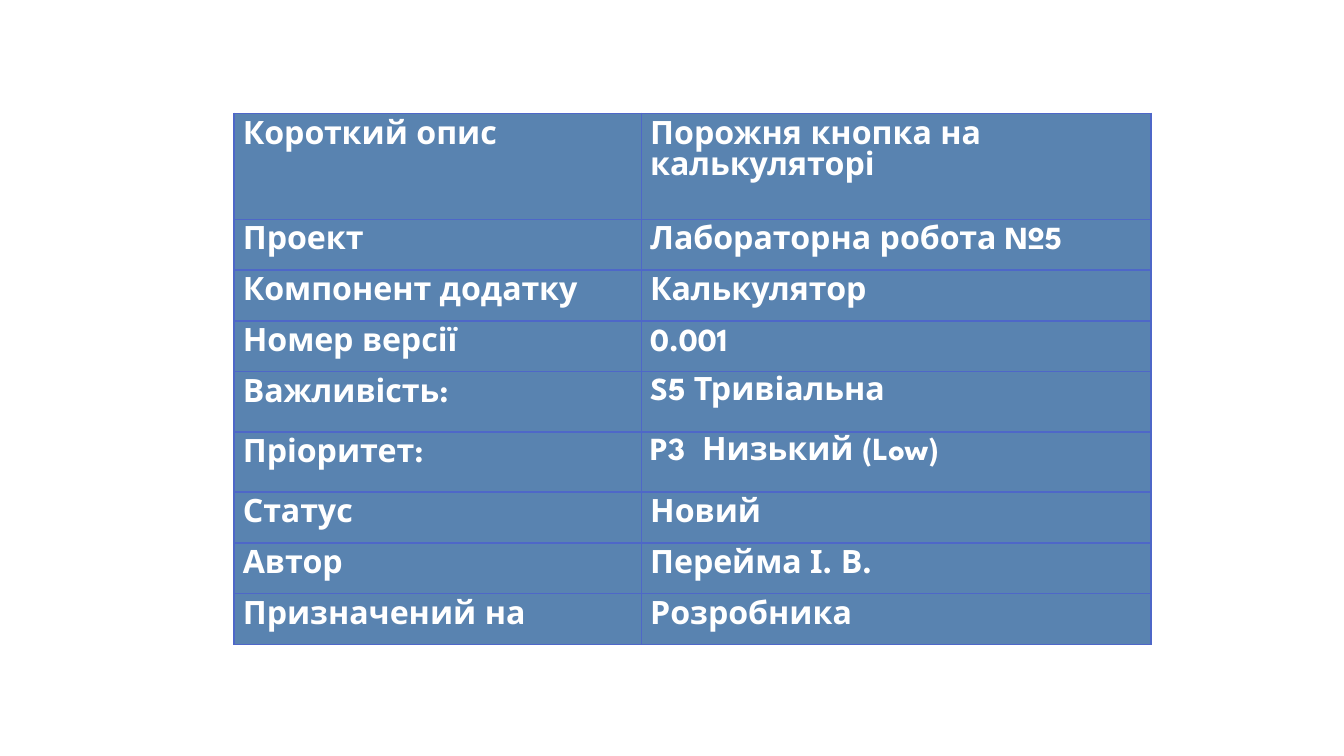
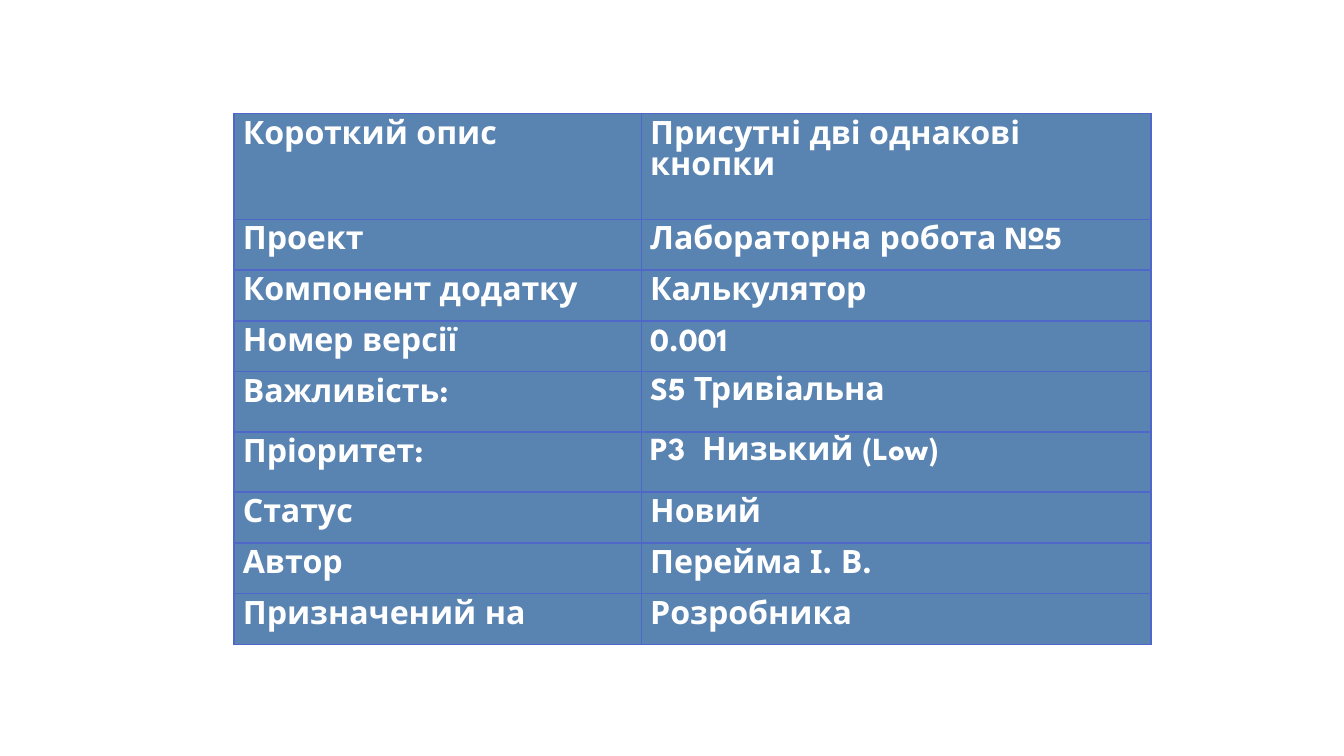
from pptx import Presentation
from pptx.dml.color import RGBColor
from pptx.oxml import parse_xml
from pptx.oxml.ns import nsdecls
from pptx.util import Pt

FILL = RGBColor(0x59, 0x83, 0xB0)
EDGE = RGBColor(0x4E, 0x67, 0xC8)
WHITE = RGBColor(0xFF, 0xFF, 0xFF)

# Row height and value line spacing follow each field's kind
TALL, PLAIN, RANK = (62.5, 1.07), (30, 1.07), (35.6, None)


class Deck:
    font = "League Spartan"
    size = 19
    cols = (240.5, 301)
    left, top = 138.2, 67

    def __init__(self):
        self.prs = Presentation()
        self.prs.slide_width = Pt(793.5)
        self.prs.slide_height = Pt(446.5)
        self.slide = None

    def add(self):
        self.slide = self.prs.slides.add_slide(self.prs.slide_layouts[6])

    def table(self, rows):
        high = sum(kind[0] for _, _, kind in rows)
        frame = self.slide.shapes.add_table(
            len(rows), len(self.cols), Pt(self.left), Pt(self.top),
            Pt(sum(self.cols)), Pt(high))
        grid = frame.table
        for col, width in zip(grid.columns, self.cols):
            col.width = Pt(width)
        for i, (name, value, (height, space)) in enumerate(rows):
            grid.rows[i].height = Pt(height)
            self.cell(grid.cell(i, 0), name, 1.07)
            self.cell(grid.cell(i, 1), value, space)

    def cell(self, cell, text, space):
        cell.margin_left = cell.margin_right = Pt(5.2)
        cell.margin_top = cell.margin_bottom = Pt(3.6)
        self.border(cell)
        cell.fill.solid()
        cell.fill.fore_color.rgb = FILL
        para = cell.text_frame.paragraphs[0]
        para.text = text
        if space:
            para.line_spacing = space
        for run in para.runs:
            run.font.name = self.font
            run.font.size = Pt(self.size)
            run.font.bold = True
            run.font.color.rgb = WHITE

    def border(self, cell):
        props = cell._tc.get_or_add_tcPr()
        for side in "LRTB":
            props.append(parse_xml(
                f'<a:ln{side} {nsdecls("a")} w="{Pt(0.96)}"><a:solidFill>'
                f'<a:srgbClr val="{EDGE}"/></a:solidFill></a:ln{side}>'))


def report(brief):
    return [
        ("Короткий опис", brief, TALL),
        ("Проект", "Лабораторна робота №5", PLAIN),
        ("Компонент додатку", "Калькулятор", PLAIN),
        ("Номер версії", "0.001", PLAIN),
        ("Важливість:", "S5 Тривіальна", RANK),
        ("Пріоритет:", "P3  Низький (Low)", RANK),
        ("Статус", "Новий", PLAIN),
        ("Автор", "Перейма І. В.", PLAIN),
        ("Призначений на", "Розробника", PLAIN),
    ]


def main():
    deck = Deck()
    # One bug report per slide
    for brief in ("Порожня кнопка на калькуляторі",
                  "Присутні дві однакові кнопки"):
        deck.add()
        deck.table(report(brief))
    deck.prs.save("out.pptx")


if __name__ == "__main__":
    main()
